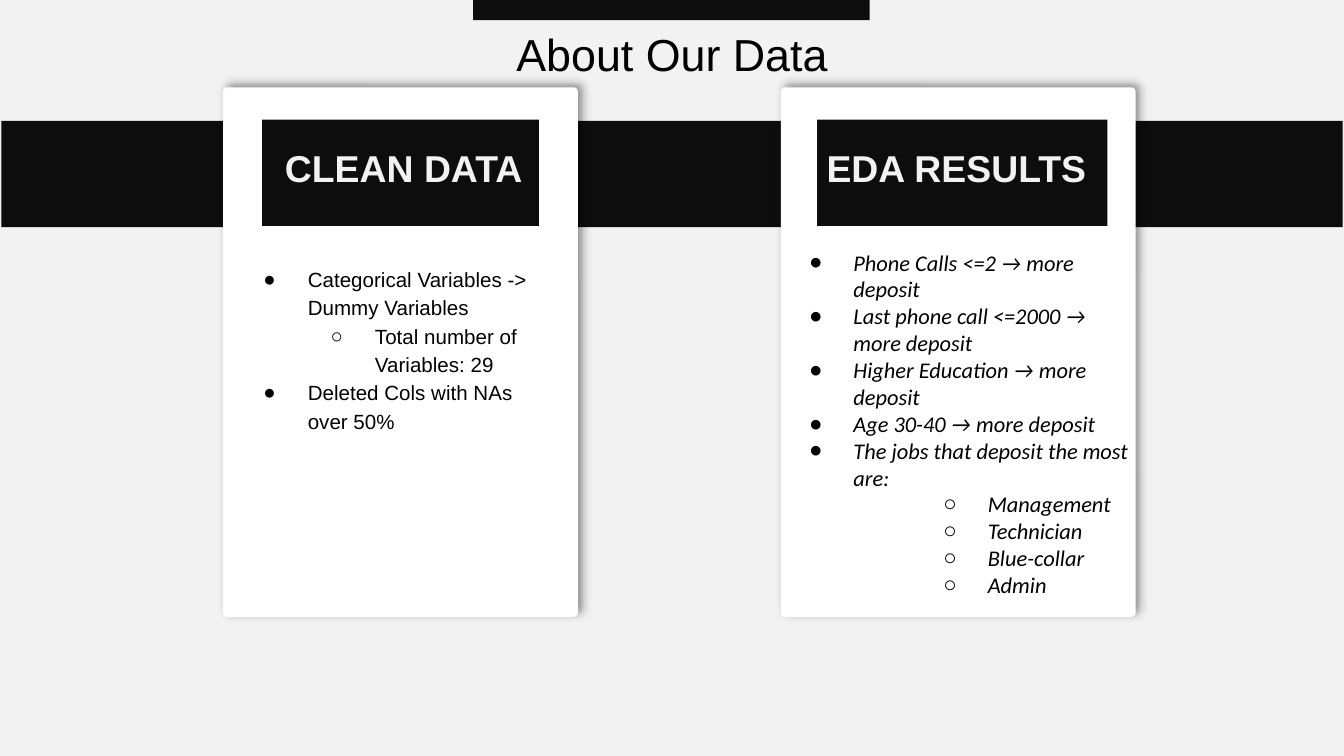
from lxml import etree
from pptx import Presentation
from pptx import util as u
from pptx.dml.color import RGBColor
from pptx.enum import shapes, text
from pptx.oxml import ns

DARK = RGBColor(0x0D, 0x0D, 0x0D)
PALE = RGBColor(0xF2, 0xF2, 0xF2)
WHITE = RGBColor(0xFF, 0xFF, 0xFF)
BLACK = RGBColor(0, 0, 0)

TITLE = "About Our Data"
BARS = [(0.01, 0.9, 9.98, 0.79), (3.52, 0, 2.95, 0.15)]
CARDS = [
    dict(left=1.66, plate=(1.95, 2.06), head="CLEAN DATA", label=(2.05, 1.98),
         box=(1.72, 1.69, 2.51, 2.29), pads=(0.07, 0.27, 0.25, 0.04),
         font=("Arial", 11, False), gap=1.15, deep=1,
         items=[(0, "Categorical Variables -> Dummy Variables"),
                (1, "Total number of Variables: 29"),
                (0, "Deleted Cols with NAs over 50%")]),
    dict(left=5.81, plate=(6.08, 2.16), head="EDA RESULTS", label=(6.08, 2.16),
         box=(5.75, 1.52, 2.8, 3.28), pads=(0.1, 0.33, 0.1, 0.1),
         font=("Calibri", 12, True), gap=1.0, deep=1.5,
         items=[(0, "Phone Calls <=2 → more deposit"),
                (0, "Last phone call <=2000 → more deposit"),
                (0, "Higher Education → more deposit"),
                (0, "Age 30-40 → more deposit"),
                (0, "The jobs that deposit the most are:"),
                (1, "Management"), (1, "Technician"),
                (1, "Blue-collar"), (1, "Admin")]),
]
PADS = (0.07, 0.04, 0.07, 0.04)


def node(base, tag, **attrs):
    item = etree.SubElement(base, ns.qn(tag))
    for key, val in attrs.items():
        item.set(key, str(val))
    return item


def block(slide, box, fill, kind=shapes.MSO_SHAPE.RECTANGLE):
    shape = slide.shapes.add_shape(kind, *map(u.Inches, box))
    shape.shadow.inherit = False
    shape.fill.solid()
    shape.fill.fore_color.rgb = fill
    shape.line.fill.background()
    return shape


def card(slide, left):
    shape = block(slide, (left, 0.65, 2.64, 3.94), WHITE,
                  shapes.MSO_SHAPE.ROUNDED_RECTANGLE)
    shape.adjustments[0] = 0.012
    glow = shape.element.spPr.find(ns.qn("a:effectLst"))
    cast = node(glow, "a:outerShdw", blurRad=u.Pt(5), dist=u.Pt(3),
                dir=315 * 60000, algn="bl", rotWithShape=0)
    node(node(cast, "a:srgbClr", val="000000"), "a:alpha", val=40000)


def frame(shape, pads):
    body = shape.text_frame
    body.word_wrap = True
    body.auto_size = text.MSO_AUTO_SIZE.NONE
    body.vertical_anchor = text.MSO_ANCHOR.TOP
    (body.margin_left, body.margin_top,
     body.margin_right, body.margin_bottom) = map(u.Inches, pads)
    return body


def write(para, words, name, size, color, bold=False, slant=False):
    run = para.add_run()
    run.text = words
    font = run.font
    font.name, font.size = name, u.Pt(size)
    font.bold, font.italic = bold, slant
    font.color.rgb = color


def place(slide, shape, box):
    shape.left, shape.top, shape.width, shape.height = map(u.Inches, box)
    slide.shapes.element.append(shape.element)


def fill_list(shape, data):
    body = frame(shape, data["pads"])
    name, size, slant = data["font"]
    for num, (level, words) in enumerate(data["items"]):
        para = body.add_paragraph() if num else body.paragraphs[0]
        para.level = level
        para.alignment = text.PP_ALIGN.LEFT
        para.line_spacing = data["gap"]
        para.space_before = para.space_after = u.Pt(0)
        props = para._p.get_or_add_pPr()
        props.set("marL", str(u.Inches(data["deep"] if level else 0.5)))
        props.set("indent", str(u.Inches(-0.33)))
        node(node(props, "a:buClr"), "a:srgbClr", val=str(BLACK))
        node(props, "a:buFont", typeface="Arial")
        node(props, "a:buChar", char="○" if level else "●")
        write(para, words, name, size, BLACK, slant=slant)


def main():
    deck = Presentation()
    deck.slide_width = u.Inches(10)
    deck.slide_height = u.Emu(deck.slide_width * 9 // 16)
    slide = deck.slides.add_slide(deck.slide_layouts[3])
    slide.background.fill.solid()
    slide.background.fill.fore_color.rgb = PALE
    for bar in BARS:
        block(slide, bar, DARK)

    title = slide.shapes.title
    place(slide, title, (3.6, 0.16, 2.8, 0.48))
    para = frame(title, PADS).paragraphs[0]
    para.alignment = text.PP_ALIGN.CENTER
    write(para, TITLE, "Arial", 24, BLACK)

    for slot, data in enumerate(CARDS, 1):
        card(slide, data["left"])
        left, width = data["plate"]
        block(slide, (left, 0.89, width, 0.79), DARK)
        left, width = data["label"]
        label = slide.shapes.add_textbox(
            *map(u.Inches, (left, 1.04, width, 0.48)))
        para = frame(label, PADS).paragraphs[0]
        write(para, data["head"], "Arial", 20, PALE, bold=True)
        body = slide.placeholders[slot]
        place(slide, body, data["box"])
        fill_list(body, data)

    deck.save("out.pptx")


if __name__ == "__main__":
    main()
